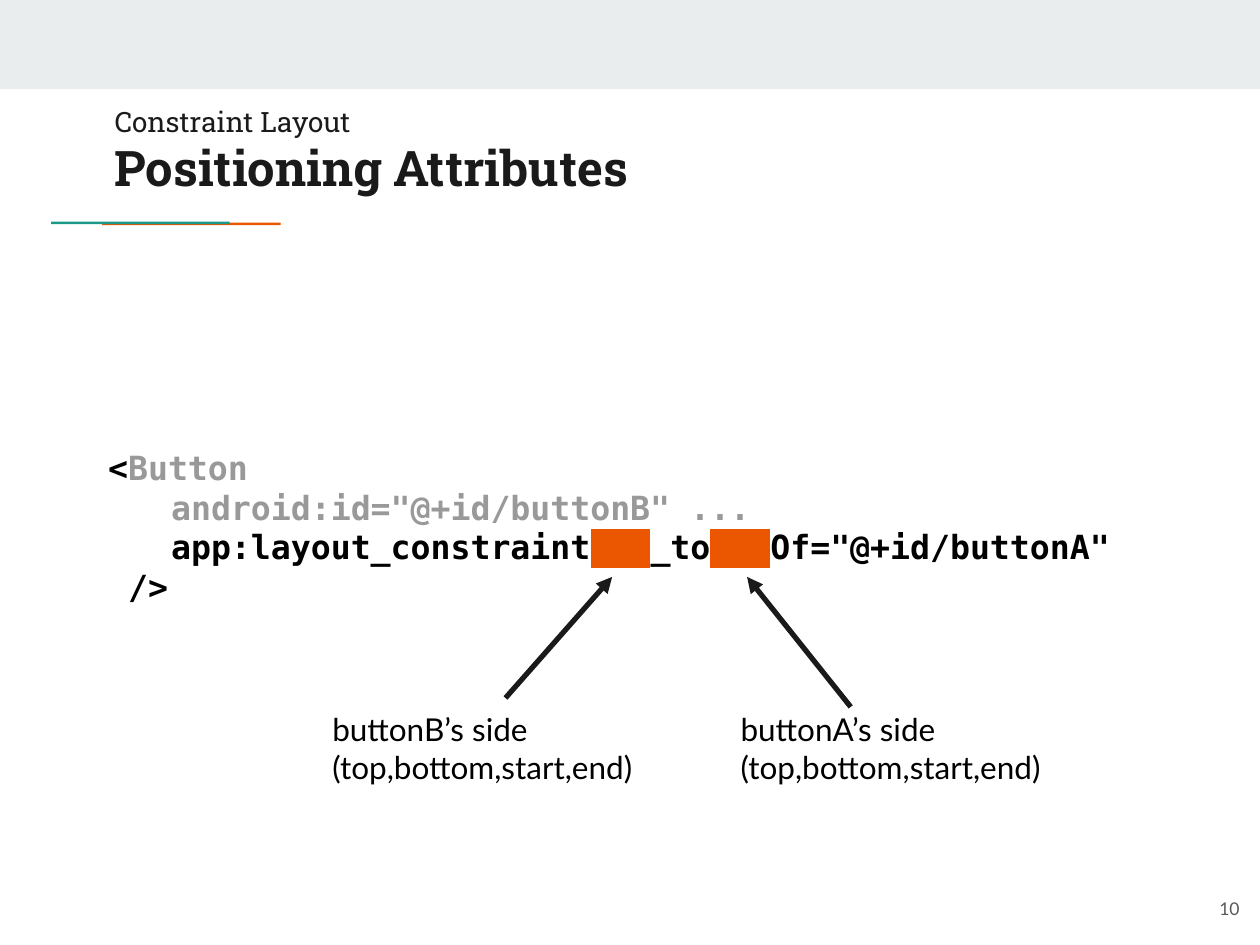
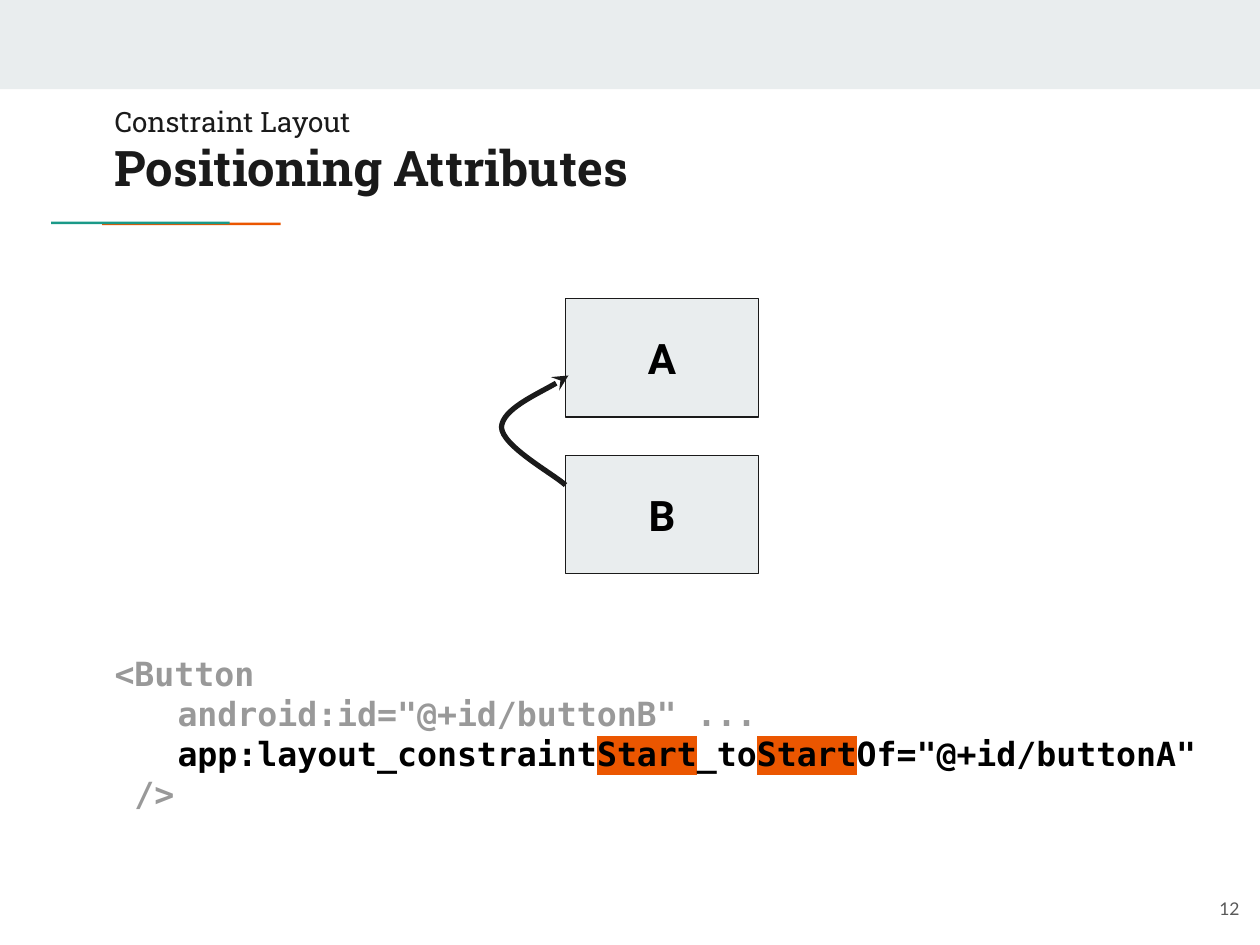
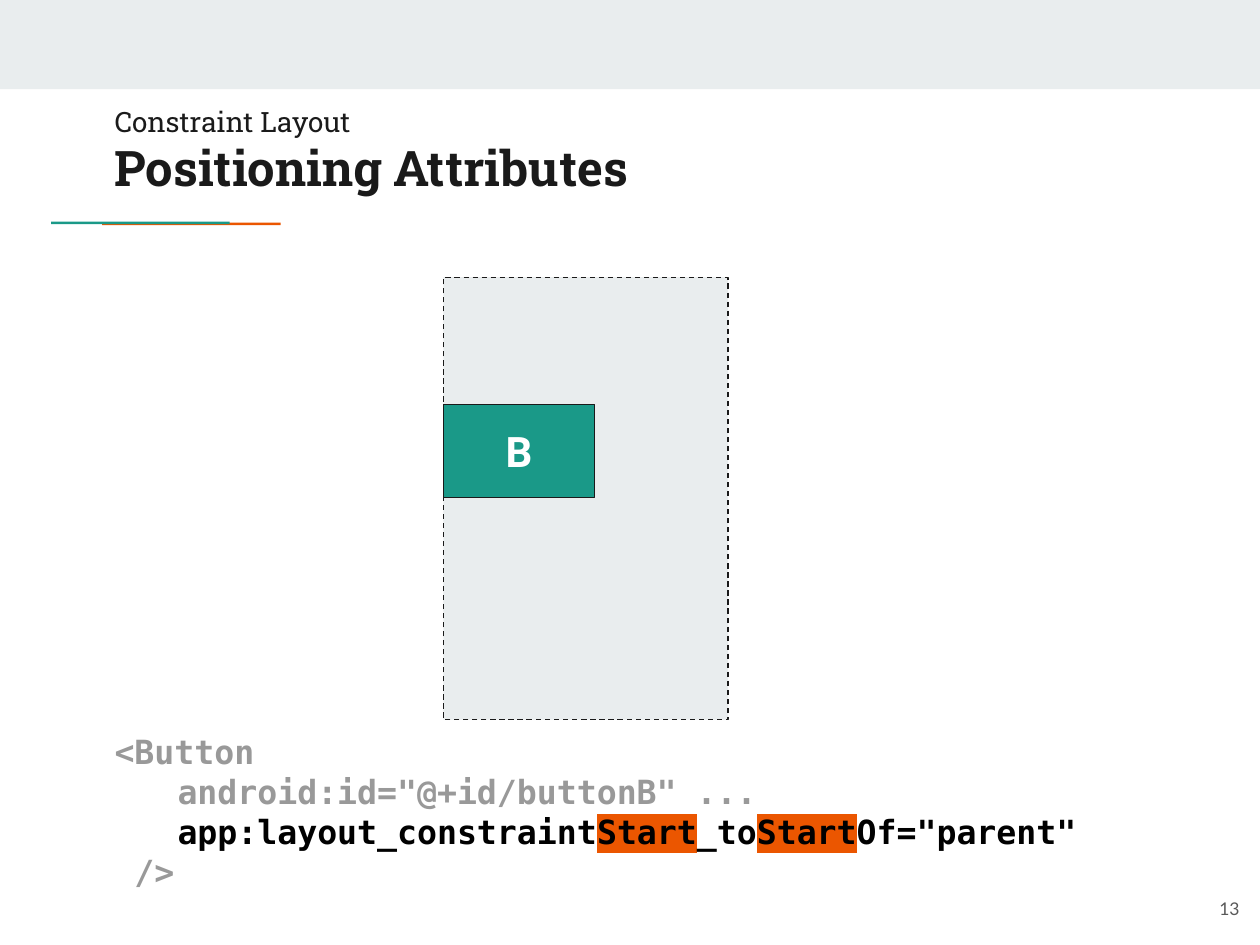
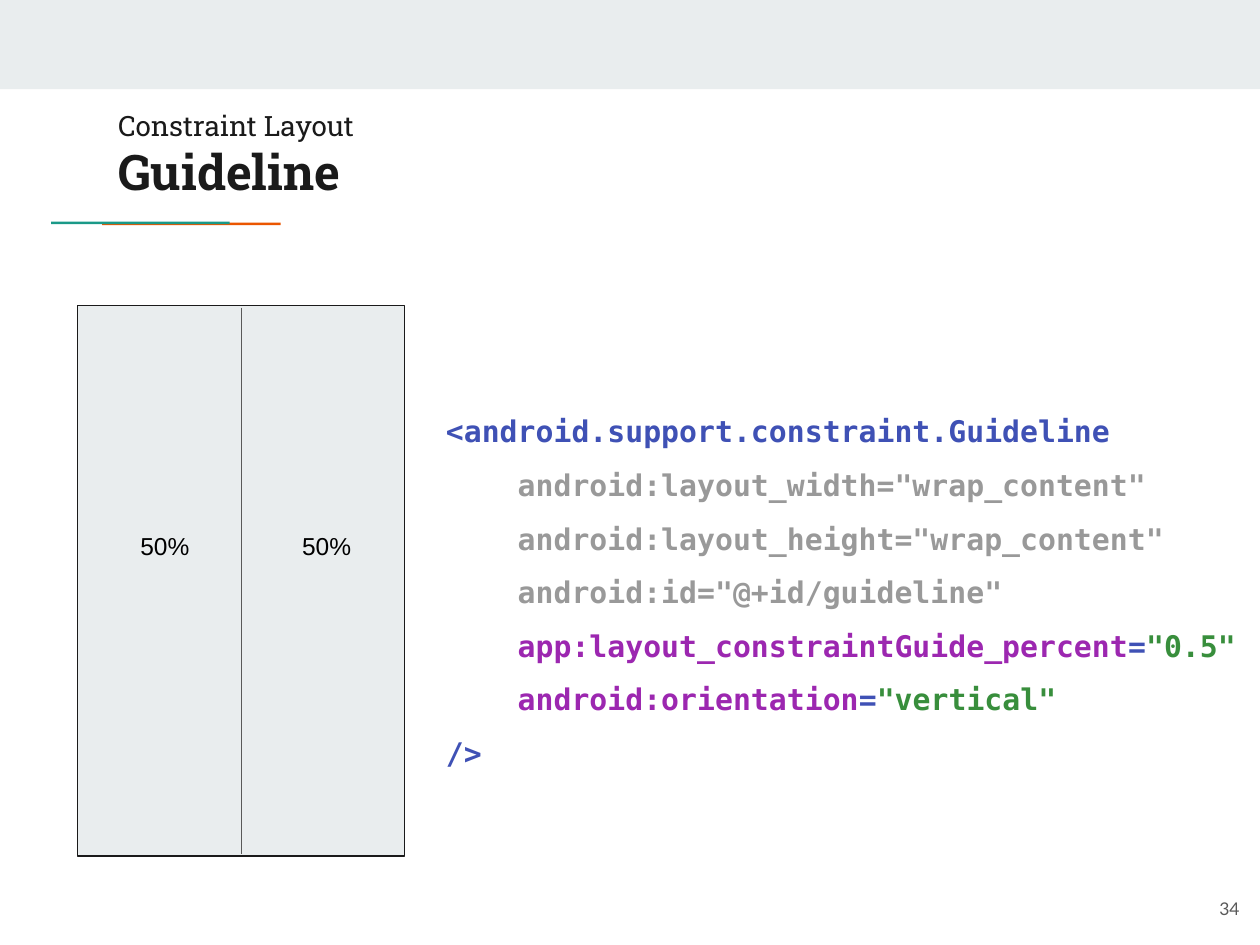
"""Build four slides on constraint layout positioning and guidelines."""
from dataclasses import dataclass
from typing import Any, NamedTuple, Optional, Sequence

from lxml.etree import SubElement
from pptx import Presentation
from pptx.dml.color import RGBColor
from pptx.enum.dml import MSO_LINE
from pptx.enum.shapes import MSO_CONNECTOR, MSO_SHAPE
from pptx.enum.text import MSO_ANCHOR, MSO_AUTO_SIZE, PP_ALIGN
from pptx.oxml.ns import qn
from pptx.util import Cm, Pt


@dataclass(frozen=True)
class Theme:
    ink: str = "1A1A1A"
    black: str = "000000"
    white: str = "FFFFFF"
    pale: str = "E9EDEE"
    teal: str = "1A9988"
    orange: str = "EB5600"
    muted: str = "999999"
    number: str = "595959"
    tag: str = "3F51B5"
    attribute: str = "9C27B0"
    value: str = "388E3C"
    heading_font: str = "Roboto Slab"
    body_font: str = "Lato"
    code_font: str = "DejaVu Sans Mono"
    button_font: str = "Roboto"
    share_font: str = "Arial"
    kicker_size: float = 16
    title_size: float = 28
    code_size: float = 19
    guideline_size: float = 17
    note_size: float = 18
    button_size: float = 24
    share_size: float = 14
    number_size: float = 10
    thin: float = 0.75
    thick: float = 3
    inset: float = 0.25


THEME = Theme()


class Area(NamedTuple):
    left: float
    top: float
    width: float
    height: float

    def lengths(self) -> list[Cm]:
        return [Cm(length) for length in self]


class Style(NamedTuple):
    font: str
    size: float
    color: str = THEME.black
    bold: bool = False


class Span(NamedTuple):
    text: str
    color: Optional[str] = None
    highlight: Optional[str] = None


class Line(NamedTuple):
    spans: Sequence[Span]
    style: Style
    indent: float = 0


@dataclass(frozen=True)
class Box:
    area: Area
    fill: str = THEME.pale
    outline: Optional[str] = THEME.ink
    dash: Optional[MSO_LINE] = None
    label: str = ""
    label_color: str = THEME.black


@dataclass(frozen=True)
class Arrow:
    start: tuple[float, float]
    end: tuple[float, float]
    color: str = THEME.ink
    weight: float = THEME.thick
    head: Optional[str] = "triangle"


CODE = Style(THEME.code_font, THEME.code_size, THEME.muted, True)
GUIDELINE = Style(THEME.code_font, THEME.guideline_size, THEME.muted, True)
KICKER = Style(THEME.heading_font, THEME.kicker_size, THEME.ink)
TITLE = Style(THEME.heading_font, THEME.title_size, THEME.ink, True)
NOTE = Style(THEME.body_font, THEME.note_size)
SHARE = Style(THEME.share_font, THEME.share_size)
NUMBER = Style(THEME.body_font, THEME.number_size, THEME.number)

BAND = Box(Area(0, 0, 25.4, 1.8), outline=None)
RULES = (
    Box(Area(2.06, 4.49, 3.6, 0.05), THEME.orange, None),
    Box(Area(1.03, 4.47, 3.6, 0.05), THEME.teal, None),
)
NUMBER_AREA = Area(23.72, 17.6, 1.52, 1.45)
TITLE_AREA = Area(2.06, 1.85, 19.56, 3.38)


def apply(target: Any, values: dict[str, Any]) -> None:
    for name, value in values.items():
        setattr(target, name, value)


def write(frame: Any, lines: Sequence[Line], align: PP_ALIGN = PP_ALIGN.LEFT,
          anchor: MSO_ANCHOR = MSO_ANCHOR.TOP, spacing: float = 1.0) -> None:
    inset = Cm(THEME.inset)
    apply(frame, {
        "word_wrap": True, "auto_size": MSO_AUTO_SIZE.NONE, "vertical_anchor": anchor,
        "margin_left": inset, "margin_right": inset,
        "margin_top": inset, "margin_bottom": inset,
    })
    for index, line in enumerate(lines):
        paragraph = frame.add_paragraph() if index else frame.paragraphs[0]
        apply(paragraph, {"alignment": align, "line_spacing": spacing})
        if line.indent:
            properties = paragraph._p.get_or_add_pPr()
            properties.set("marL", str(Cm(line.indent)))
            properties.set("indent", "0")
        for span in line.spans:
            run = paragraph.add_run()
            run.text = span.text
            apply(run.font, {
                "name": line.style.font, "size": Pt(line.style.size),
                "bold": line.style.bold,
            })
            run.font.color.rgb = RGBColor.from_string(span.color or line.style.color)
            if span.highlight:
                properties = run._r.get_or_add_rPr()
                marker = SubElement(properties, qn("a:highlight"))
                SubElement(marker, qn("a:srgbClr"), val=span.highlight)
                properties.find(qn("a:solidFill")).addnext(marker)


def add_text(slide: Any, area: Area, lines: Sequence[Line], **layout: Any) -> None:
    write(slide.shapes.add_textbox(*area.lengths()).text_frame, lines, **layout)


def stroke(line: Any, color: str, weight: float, head: Optional[str] = None) -> None:
    line.color.rgb = RGBColor.from_string(color)
    line.width = Pt(weight)
    if head:
        SubElement(line._get_or_add_ln(), qn("a:tailEnd"), type=head)


def add_box(slide: Any, box: Box) -> None:
    shape = slide.shapes.add_shape(MSO_SHAPE.RECTANGLE, *box.area.lengths())
    shape.shadow.inherit = False
    shape.fill.solid()
    shape.fill.fore_color.rgb = RGBColor.from_string(box.fill)
    if box.outline:
        stroke(shape.line, box.outline, THEME.thin)
        if box.dash:
            shape.line.dash_style = box.dash
    else:
        shape.line.fill.background()
    if box.label:
        style = Style(THEME.button_font, THEME.button_size, box.label_color, True)
        write(shape.text_frame, [Line([Span(box.label)], style)],
              PP_ALIGN.CENTER, MSO_ANCHOR.MIDDLE)


def add_arrow(slide: Any, arrow: Arrow) -> None:
    ends = [Cm(length) for length in (*arrow.start, *arrow.end)]
    connector = slide.shapes.add_connector(MSO_CONNECTOR.STRAIGHT, *ends)
    stroke(connector.line, arrow.color, arrow.weight, arrow.head)
    SubElement(connector._element.spPr, qn("a:effectLst"))


def add_curve(slide: Any, points: Sequence[tuple[float, float]]) -> None:
    start, *controls = [(Cm(x), Cm(y)) for x, y in points]
    builder = slide.shapes.build_freeform(*start)
    builder.add_line_segments(controls, close=False)
    curve = builder.convert_to_shape()
    curve.shadow.inherit = False
    curve.fill.background()
    stroke(curve.line, THEME.ink, THEME.thick, "stealth")
    outline = next(curve._element.iter(qn("a:path")))
    segments = outline.findall(qn("a:lnTo"))
    for first in range(0, len(segments), 3):
        bezier = SubElement(outline, qn("a:cubicBezTo"))
        for segment in segments[first:first + 3]:
            bezier.append(segment[0])
            outline.remove(segment)


def button_code(side: str, target: str, opening: str = THEME.muted,
                closing: str = THEME.muted) -> list[Line]:
    black, orange = THEME.black, THEME.orange
    constraint = [
        Span("app:layout_constraint", black), Span(side, black, orange),
        Span("_to", black), Span(side, black, orange),
        Span(f'Of="{target}"', black),
    ]
    return [
        Line([Span("<", opening), Span("Button")], CODE),
        Line([Span('android:id="@+id/buttonB" ...')], CODE, 1.27),
        Line(constraint, CODE, 1.27),
        Line([Span(" />", closing)], CODE),
    ]


def guideline_code() -> list[Line]:
    muted = ('layout_width="wrap_content"', 'layout_height="wrap_content"',
             'id="@+id/guideline"')
    colored = (("app:layout_constraintGuide_percent", '"0.5"'),
               ("android:orientation", '"vertical"'))
    rows = [[Span("<android.support.constraint.Guideline", THEME.tag)]]
    rows += [[Span(f"    android:{setting}")] for setting in muted]
    rows += [[Span(f"    {name}", THEME.attribute), Span("=", THEME.tag),
              Span(value, THEME.value)] for name, value in colored]
    rows.append([Span("/>", THEME.tag)])
    return [Line(row, GUIDELINE) for row in rows]


def start_slide(deck: Any, topic: str, number: int, title_area: Area = TITLE_AREA) -> Any:
    slide = deck.slides.add_slide(deck.slide_layouts[5])
    for box in (BAND, *RULES):
        add_box(slide, box)
    title = slide.shapes.title
    apply(title, dict(zip(("left", "top", "width", "height"), title_area.lengths())))
    write(title.text_frame, [Line([Span("Constraint Layout")], KICKER),
                             Line([Span(topic)], TITLE)])
    add_text(slide, NUMBER_AREA, [Line([Span(str(number))], NUMBER)],
             align=PP_ALIGN.RIGHT, anchor=MSO_ANCHOR.MIDDLE)
    return slide


def build_sides(deck: Any) -> None:
    slide = start_slide(deck, "Positioning Attributes", 10)
    add_text(slide, Area(1.93, 8.76, 22.3, 2.39),
             button_code("   ", "@+id/buttonA", THEME.black, THEME.black))
    for arrow in (Arrow((10.19, 14.07), (12.34, 11.63)),
                  Arrow((17.15, 14.25), (15.06, 11.63))):
        add_arrow(slide, arrow)
    for button, left in (("buttonB", 6.45), ("buttonA", 14.68)):
        notes = (f"{button}’s side", "(top,bottom,start,end)")
        add_text(slide, Area(left, 14.07, 7.44, 2.39),
                 [Line([Span(note)], NOTE) for note in notes])


def build_sibling(deck: Any) -> None:
    slide = start_slide(deck, "Positioning Attributes", 12)
    add_text(slide, Area(2.06, 12.93, 22.76, 2.39), button_code("Start", "@+id/buttonA"))
    for row, label in enumerate("AB"):
        add_box(slide, Box(Area(11.4, 6.02 + row * 3.16, 3.89, 2.39), label=label))
    add_curve(slide, [(11.4, 9.78), (11.2, 9.58), (10.11, 8.99), (10.11, 8.61),
                      (10.13, 8.25), (11.23, 7.75), (11.46, 7.57)])


def build_parent(deck: Any) -> None:
    slide = start_slide(deck, "Positioning Attributes", 13)
    add_text(slide, Area(2.06, 14.5, 22.76, 2.39), button_code("Start", "parent"))
    add_box(slide, Box(Area(8.94, 5.59, 5.74, 8.92), dash=MSO_LINE.DASH))
    add_box(slide, Box(Area(8.94, 8.15, 3.05, 1.88), THEME.teal,
                       label="B", label_color=THEME.white))


def build_guideline(deck: Any) -> None:
    slide = start_slide(deck, "Guideline", 34, Area(2.13, 1.93, 19.56, 3.38))
    add_text(slide, Area(8.74, 7.72, 16.66, 8.86), guideline_code(), spacing=1.5)
    add_box(slide, Box(Area(1.57, 6.16, 6.58, 11.1)))
    add_arrow(slide, Arrow((4.87, 6.2), (4.87, 17.22), THEME.number, THEME.thin, None))
    for left in (2.58, 5.84):
        add_text(slide, Area(left, 10.46, 1.93, 1.3), [Line([Span("50%")], SHARE)])


def main() -> None:
    deck = Presentation()
    apply(deck, {"slide_width": Cm(25.4), "slide_height": Cm(19.05)})
    for build in (build_sides, build_sibling, build_parent, build_guideline):
        build(deck)
    deck.save("out.pptx")


if __name__ == "__main__":
    main()
